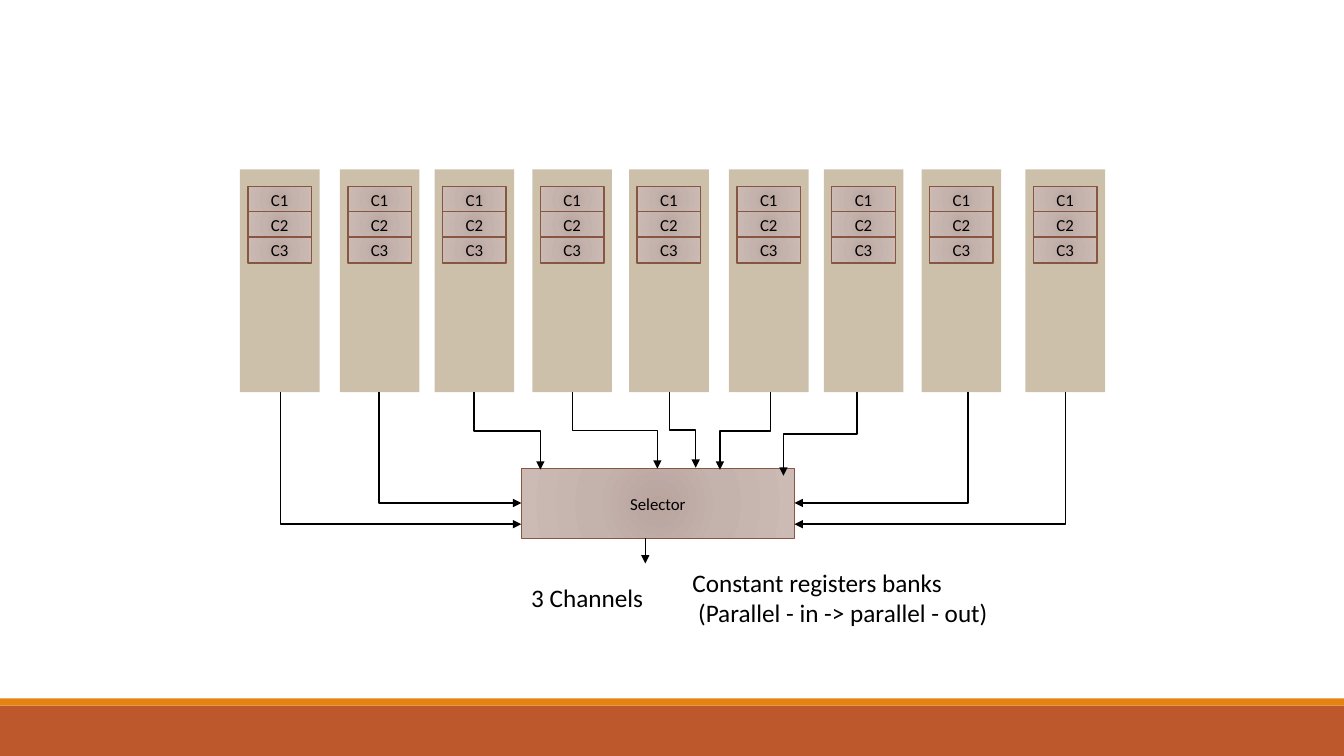
from lxml.etree import SubElement
from pptx import Presentation
from pptx.dml.color import RGBColor
from pptx.enum.shapes import MSO_CONNECTOR as Link, MSO_SHAPE as Preset
from pptx.enum.text import MSO_ANCHOR as Anchor, MSO_AUTO_SIZE as AutoSize, PP_ALIGN as Align
from pptx.oxml import parse_xml
from pptx.oxml.ns import nsdecls, qn
from pptx.util import Inches, Pt

BANK_LEFTS = [2.38, 3.37, 4.31, 5.28, 6.24, 7.23, 8.17, 9.14, 10.17]
BANK_TOP, BANK_WIDTH, BANK_HEIGHT = 1.68, 0.79, 2.21
BANK_BOTTOM = BANK_TOP + BANK_HEIGHT
REGISTERS = ["C1", "C2", "C3"]
SELECTOR = (5.17, 4.65, 2.71, 0.69)
GLOW = [(0, "B9A49E"), (45, "C4B2AD"), (100, "CCBAB5")]


def color(hex_code):
    return RGBColor.from_string(hex_code)


def add_text(shape, text, size=12, align=Align.LEFT, anchor=Anchor.TOP):
    frame = shape.text_frame
    frame.word_wrap = True
    frame.vertical_anchor = anchor
    frame.text = text
    for paragraph in frame.paragraphs:
        paragraph.alignment = align
        paragraph.font.size = Pt(size)
        paragraph.font.name = "Calibri"
        paragraph.font.color.rgb = color("000000")


def add_block(slide, box, fill, alpha=None):
    block = slide.shapes.add_shape(Preset.RECTANGLE, *map(Inches, box))
    block.shadow.inherit = False
    block.line.fill.background()
    block.fill.solid()
    block.fill.fore_color.rgb = color(fill)
    if alpha is not None:
        tint = block.fill._xPr.find(qn("a:solidFill"))[0]
        SubElement(tint, qn("a:alpha"), val=str(alpha * 1000))
    return block


def add_glowing_block(slide, box, label):
    block = add_block(slide, box, GLOW[0][1])
    stops = "".join(
        f'<a:gs pos="{position * 1000}"><a:srgbClr val="{tone}"/></a:gs>'
        for position, tone in GLOW
    )
    gradient = parse_xml(
        f'<a:gradFill {nsdecls("a")} rotWithShape="1"><a:gsLst>{stops}</a:gsLst>'
        '<a:path path="circle"><a:fillToRect l="100000" t="100000" r="100000" b="100000"/>'
        "</a:path></a:gradFill>"
    )
    properties = block._element.spPr
    properties.replace(properties.find(qn("a:solidFill")), gradient)
    block.line.color.rgb = color("865640")
    block.line.width = Pt(1)
    add_text(block, label, align=Align.CENTER, anchor=Anchor.MIDDLE)


def add_arrow(slide, kind, start, end):
    arrow = slide.shapes.add_connector(kind, *map(Inches, (*start, *end)))
    arrow.line.color.rgb = color("000000")
    arrow.line.width = Pt(1)
    SubElement(arrow.line._get_or_add_ln(), qn("a:tailEnd"), type="triangle")
    SubElement(arrow._element.spPr, qn("a:effectLst"))
    return arrow


def add_bent_arrow(slide, start, end, preset):
    (x1, y1), (x2, y2) = start, end
    middle_x, middle_y = (x1 + x2) / 2, (y1 + y2) / 2
    reach, drop = abs(x2 - x1) / 2, (y2 - y1) / 2
    side = 1 if x2 < x1 else -1
    arrow = add_arrow(
        slide, Link.ELBOW,
        (middle_x - side * drop, middle_y - reach),
        (middle_x + side * drop, middle_y + reach),
    )
    properties = arrow._element.spPr
    properties.find(qn("a:xfrm")).set("rot", str((90 if side > 0 else 270) * 60000))
    properties.find(qn("a:prstGeom")).set("prst", preset)


def add_bank(slide, left, top):
    add_block(slide, (left, top, BANK_WIDTH, BANK_HEIGHT), "9B8357", alpha=50)
    for row, register in enumerate(REGISTERS):
        add_glowing_block(slide, (left + 0.08, top + 0.17 + row * 0.25, 0.63, 0.26), register)


def add_selector(slide, box):
    left, top, width, height = box
    right = left + width
    add_glowing_block(slide, box, "Selector")
    top_inputs = [(4.7, 5.36, 4.66), (5.68, 6.52, 4.65), (6.64, 6.9, 4.64),
                  (7.64, 7.14, 4.66), (8.5, 7.77, 4.72)]
    for bank_x, input_x, input_y in top_inputs:
        add_bent_arrow(slide, (bank_x, BANK_BOTTOM), (input_x, input_y), "bentConnector3")
    side_inputs = [(2.78, left, 0.55), (3.76, left, 0.34),
                   (9.6, right, 0.34), (10.57, right, 0.55)]
    for bank_x, edge, depth in side_inputs:
        add_bent_arrow(slide, (bank_x, BANK_BOTTOM), (edge, top + depth), "bentConnector2")
    output = left + 1.23
    add_arrow(slide, Link.STRAIGHT, (output, top + height), (output, top + height + 0.25))


def add_caption(slide, box, text):
    caption = slide.shapes.add_textbox(*map(Inches, box))
    add_text(caption, text, size=18)
    caption.text_frame.auto_size = AutoSize.SHAPE_TO_FIT_TEXT


def add_footer(slide, top):
    add_block(slide, (0, top + 0.07, 13.33, 0.5), "BD582C")
    add_block(slide, (0, top, 13.33, 0.07), "E48312")


def main():
    deck = Presentation()
    deck.slide_width, deck.slide_height = Inches(13.33), Inches(7.5)
    slide = deck.slides.add_slide(deck.slide_layouts[6])
    add_footer(slide, 6.93)
    for left in BANK_LEFTS:
        add_bank(slide, left, BANK_TOP)
    add_selector(slide, SELECTOR)
    add_caption(slide, (6.77, 5.58, 3.14, 0.71),
                "Constant registers banks\n (Parallel - in -> parallel - out)")
    add_caption(slide, (5.17, 5.73, 1.55, 0.4), "3 Channels")
    deck.save("out.pptx")


if __name__ == "__main__":
    main()
